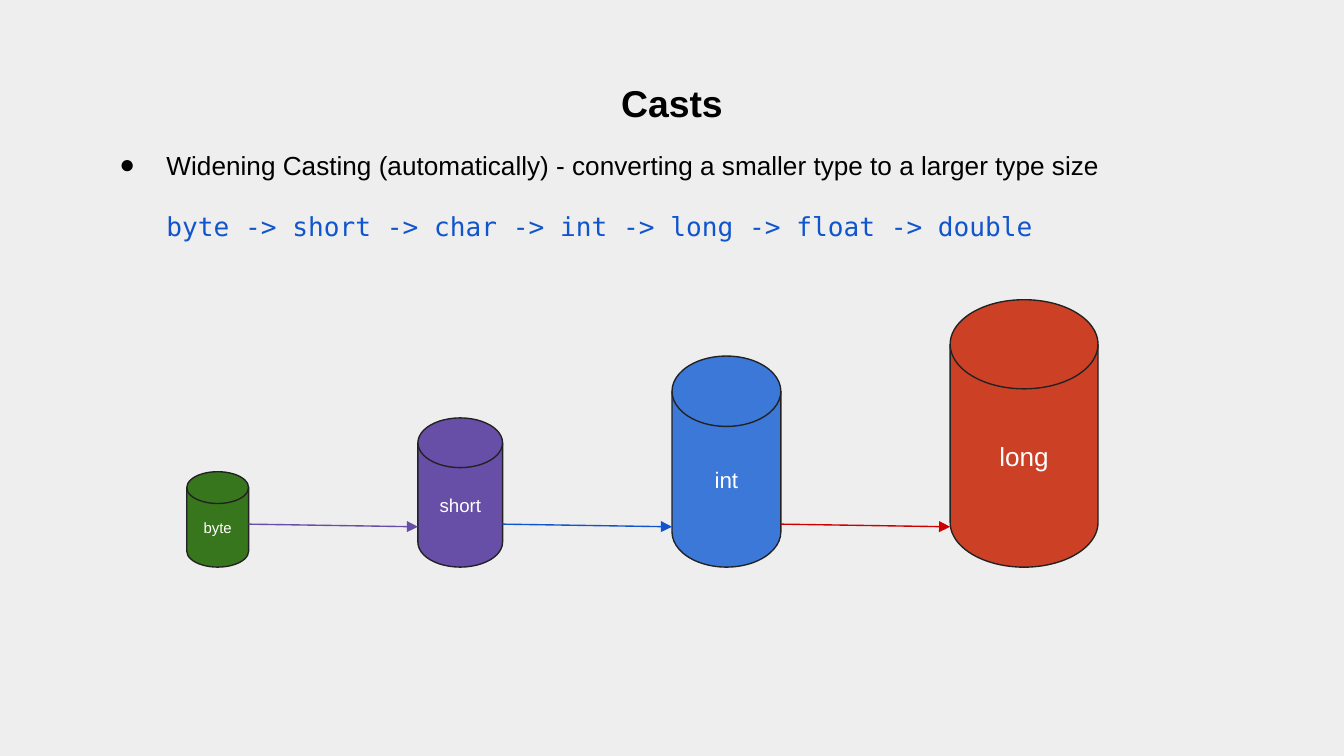
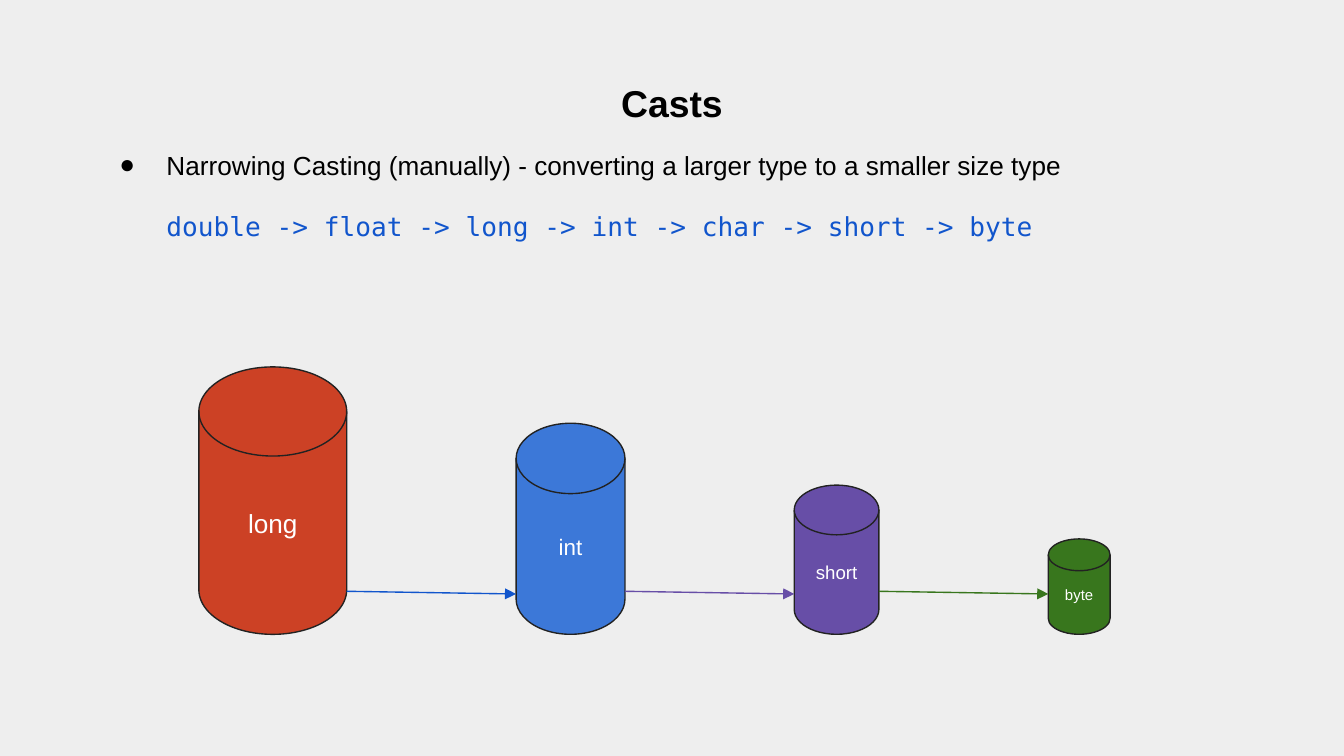
from dataclasses import dataclass

from pptx import Presentation
from pptx.dml.color import RGBColor
from pptx.enum import shapes, text
from pptx.oxml import xmlchemy
from pptx.util import Inches, Pt

COLORS = {
    "background": "EEEEEE",
    "text": "000000",
    "label": "FFFFFF",
    "outline": "222222",
    "green": "38761D",
    "purple": "674EA7",
    "blue": "3C78D8",
    "dark blue": "1155CC",
    "red": "CC4125",
    "dark red": "CC0000",
}
SANS = "Arial"
MONO = "DejaVu Sans Mono"
LINE_WIDTH = Pt(0.75)
SLIDE_WIDTH = Inches(10)
SLIDE_HEIGHT = SLIDE_WIDTH * 9 // 16
GAP = 1.26


@dataclass(frozen=True)
class DataType:
    name: str
    width: float
    height: float
    font_size: int
    fill: str
    arrow: str


@dataclass(frozen=True)
class CastSlide:
    description: str
    chain: str
    data_types: tuple[DataType, ...]
    left: float
    bottom: float


DATA_TYPES = (
    DataType("byte", 0.46, 0.71, 8, "green", "green"),
    DataType("short", 0.63, 1.11, 10, "purple", "purple"),
    DataType("int", 0.81, 1.57, 12, "blue", "dark blue"),
    DataType("long", 1.1, 1.99, 14, "red", "dark red"),
)
CAST_SLIDES = (
    CastSlide(
        "Widening Casting (automatically) - converting a smaller type to a larger type size",
        "byte -> short -> char -> int -> long -> float -> double",
        DATA_TYPES, 1.39, 4.22,
    ),
    CastSlide(
        "Narrowing Casting (manually) - converting a larger type to a smaller size type",
        "double -> float -> long -> int -> char -> short -> byte",
        DATA_TYPES[::-1], 1.48, 4.72,
    ),
)


def color(name: str) -> RGBColor:
    return RGBColor.from_string(COLORS[name])


def add_element(parent, tag: str, **attributes: str):
    element = xmlchemy.OxmlElement(tag)
    for key, value in attributes.items():
        element.set(key, value)
    parent.append(element)
    return element


def format_runs(paragraph, size: float, color_name: str, font: str = SANS, bold: bool = False) -> None:
    for run in paragraph.runs:
        run.font.name = font
        run.font.size = Pt(size)
        run.font.bold = bold
        run.font.color.rgb = color(color_name)


def set_margins(text_frame) -> None:
    text_frame.margin_left = text_frame.margin_right = Inches(0.1)
    text_frame.margin_top = text_frame.margin_bottom = Inches(0.1)
    text_frame.word_wrap = True


def set_indent(paragraph, left: float, first_line: float) -> None:
    properties = paragraph._p.get_or_add_pPr()
    properties.set("marL", str(Inches(left)))
    properties.set("indent", str(Inches(first_line)))


def add_bullet(paragraph) -> None:
    properties = paragraph._p.get_or_add_pPr()
    bullet_color = add_element(properties, "a:buClr")
    add_element(bullet_color, "a:srgbClr", val=COLORS["text"])
    add_element(properties, "a:buFont", typeface=SANS)
    add_element(properties, "a:buChar", char="●")


def format_title(title) -> None:
    title.left, title.top = Inches(0), Inches(0.45)
    title.width, title.height = SLIDE_WIDTH, Inches(0.63)
    text_frame = title.text_frame
    text_frame.text = "Casts"
    set_margins(text_frame)
    text_frame.auto_size = text.MSO_AUTO_SIZE.NONE
    text_frame.vertical_anchor = text.MSO_ANCHOR.TOP
    paragraph = text_frame.paragraphs[0]
    paragraph.alignment = text.PP_ALIGN.CENTER
    paragraph.line_spacing = 1.15
    paragraph.space_before = paragraph.space_after = Pt(12)
    format_runs(paragraph, 20, "text", bold=True)


def add_explanation(slide, cast: CastSlide) -> None:
    box = slide.shapes.add_textbox(Inches(0.64), Inches(1.01), Inches(8.71), Inches(0.91))
    text_frame = box.text_frame
    set_margins(text_frame)
    text_frame.auto_size = text.MSO_AUTO_SIZE.SHAPE_TO_FIT_TEXT
    description = text_frame.paragraphs[0]
    description.text = cast.description
    description.space_after = Pt(16)
    set_indent(description, 0.5, -0.35)
    add_bullet(description)
    format_runs(description, 14, "text")
    chain = text_frame.add_paragraph()
    chain.text = cast.chain
    set_indent(chain, 0, 0.5)
    format_runs(chain, 14, "dark blue", MONO)


def add_cylinder(slide, data_type: DataType, left: float, bottom: float) -> None:
    shape = slide.shapes.add_shape(
        shapes.MSO_SHAPE.FLOWCHART_MAGNETIC_DISK,
        Inches(left), Inches(bottom - data_type.height),
        Inches(data_type.width), Inches(data_type.height),
    )
    shape.shadow.inherit = False
    shape.fill.solid()
    shape.fill.fore_color.rgb = color(data_type.fill)
    shape.line.color.rgb = color("outline")
    shape.line.width = LINE_WIDTH
    text_frame = shape.text_frame
    text_frame.text = data_type.name
    set_margins(text_frame)
    text_frame.vertical_anchor = text.MSO_ANCHOR.MIDDLE
    paragraph = text_frame.paragraphs[0]
    paragraph.alignment = text.PP_ALIGN.CENTER
    format_runs(paragraph, data_type.font_size, "label")


def add_arrow(slide, end: float, bottom: float, color_name: str) -> None:
    connector = slide.shapes.add_connector(
        shapes.MSO_CONNECTOR.STRAIGHT,
        Inches(end - GAP), Inches(bottom - 0.32), Inches(end), Inches(bottom - 0.3),
    )
    connector.line.color.rgb = color(color_name)
    connector.line.width = LINE_WIDTH
    add_element(connector.line._get_or_add_ln(), "a:tailEnd", type="triangle")
    add_element(connector._element.spPr, "a:effectLst")


def add_cast_slide(presentation, cast: CastSlide) -> None:
    slide = presentation.slides.add_slide(presentation.slide_layouts.get_by_name("Title Only"))
    format_title(slide.shapes.title)
    add_explanation(slide, cast)
    left = cast.left
    for index, data_type in enumerate(cast.data_types):
        add_cylinder(slide, data_type, left, cast.bottom)
        if index:
            add_arrow(slide, left, cast.bottom, data_type.arrow)
        left += data_type.width + GAP


def main() -> None:
    presentation = Presentation()
    presentation.slide_width = SLIDE_WIDTH
    presentation.slide_height = SLIDE_HEIGHT
    background = presentation.slide_master.background.fill
    background.solid()
    background.fore_color.rgb = color("background")
    for cast in CAST_SLIDES:
        add_cast_slide(presentation, cast)
    presentation.save("out.pptx")


if __name__ == "__main__":
    main()
